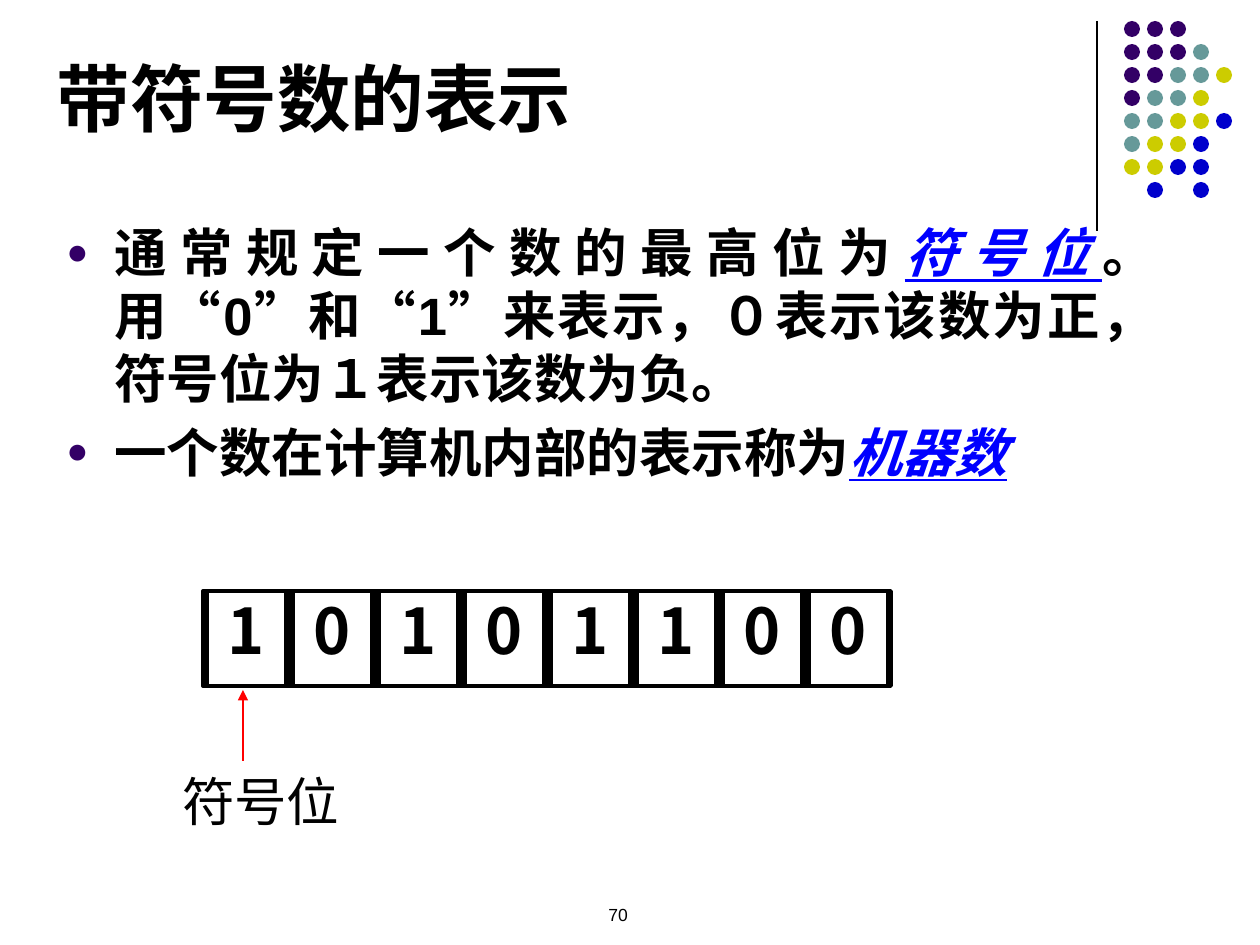
from dataclasses import dataclass

from lxml.etree import SubElement
from pptx import Presentation
from pptx.dml.color import RGBColor
from pptx.enum.shapes import MSO_CONNECTOR, MSO_SHAPE
from pptx.enum.text import MSO_ANCHOR, PP_ALIGN
from pptx.oxml.ns import qn
from pptx.util import Emu, Pt


@dataclass(frozen=True)
class Theme:
    ink: str = "000000"
    key: str = "0000FF"
    arrow: str = "FF0000"
    purple: str = "330066"
    teal: str = "669999"
    lime: str = "CCCC00"
    blue: str = "0000CC"
    latin: str = "Arial"
    cjk: str = "Noto Sans CJK SC"
    title: int = 42
    body: int = 30
    digit: int = 36
    small: int = 10


THEME = Theme()
DOTS = ["PPP", "PPPT", "PPTTL", "PTTL", "TTLLB", "TLLB", "LLBB", " B B"]
HUES = {"P": THEME.purple, "T": THEME.teal, "L": THEME.lime, "B": THEME.blue}
BITS = "10101100"
POINTS = [
    [("通常规定一个数的最高位为", False), ("符号位", True),
     ("。用“0”和“1”来表示，０表示该数为正，符号位为１表示该数为负。", False)],
    [("一个数在计算机内部的表示称为", False), ("机器数", True)],
]


def px(n):
    return Emu(round(n * 914400 / 126))


def box(*sides):
    return [px(n) for n in sides]


def apply(item, values):
    for name, value in values.items():
        setattr(item, name, value)


def add_run(para, text, size, face, color=THEME.ink, **style):
    run = para.add_run()
    run.text = text
    apply(run.font, {"size": Pt(size), "name": face, **style})
    run.font.color.rgb = RGBColor.from_string(color)
    run._r.get_or_add_rPr().set("lang", "zh-CN")
    if face == THEME.cjk:
        SubElement(run._r.rPr, qn("a:ea"), typeface=face)


def add_box(slide, *sides):
    frame = slide.shapes.add_textbox(*box(*sides)).text_frame
    frame.word_wrap = True
    return frame


def add_title(slide, text):
    title = slide.shapes.title
    apply(title, dict(zip(("left", "top", "width", "height"), box(44, 26, 1040, 122))))
    title.text_frame.vertical_anchor = MSO_ANCHOR.BOTTOM
    para = title.text_frame.paragraphs[0]
    para.alignment = PP_ALIGN.LEFT
    add_run(para, text, THEME.title, THEME.latin, bold=True)


def add_bullet(para):
    props = para._p.get_or_add_pPr()
    props.set("marL", str(px(48)))
    props.set("indent", str(px(-48)))
    color = SubElement(props, qn("a:buClr"))
    SubElement(color, qn("a:srgbClr"), val=THEME.purple)
    SubElement(props, qn("a:buSzPct"), val="70000")
    SubElement(props, qn("a:buFont"), typeface=THEME.latin)
    SubElement(props, qn("a:buChar"), char="●")


def add_points(slide):
    frame = add_box(slide, 54, 214, 1113, 607)
    for i, runs in enumerate(POINTS):
        para = frame.add_paragraph() if i else frame.paragraphs[0]
        add_bullet(para)
        apply(para, {"alignment": PP_ALIGN.JUSTIFY, "space_before": Pt(6 if i else 0)})
        for text, key in runs:
            add_run(para, text, THEME.body, THEME.latin, THEME.key if key else THEME.ink,
                    bold=True, italic=key, underline=key)


def add_line(slide, ends, color, width, head=False):
    line = slide.shapes.add_connector(MSO_CONNECTOR.STRAIGHT, *box(*ends))
    line.line.color.rgb = RGBColor.from_string(color)
    line.line.width = Pt(width)
    if head:
        SubElement(line.line._get_or_add_ln(), qn("a:headEnd"), type="triangle")
    SubElement(line._element.spPr, qn("a:effectLst"))


def add_dots(slide):
    for row, marks in enumerate(DOTS):
        for col, mark in enumerate(marks):
            if mark in HUES:
                dot = slide.shapes.add_shape(
                    MSO_SHAPE.OVAL, *box(1124 + 23 * col, 21 + 23 * row, 16, 16))
                dot.shadow.inherit = False
                dot.fill.solid()
                dot.fill.fore_color.rgb = RGBColor.from_string(HUES[mark])
                dot.line.fill.background()


def add_frame(slide, left, width):
    rect = slide.shapes.add_shape(MSO_SHAPE.RECTANGLE, *box(left, 591, width, 95))
    rect.shadow.inherit = False
    rect.fill.background()
    rect.line.color.rgb = RGBColor.from_string(THEME.ink)
    rect.line.width = Pt(2.25)
    return rect


def add_bits(slide):
    for i, bit in enumerate(BITS):
        left = 203 + 86 * i
        frame = add_frame(slide, left + 4, 79).text_frame
        apply(frame, {"margin_left": px(3), "margin_right": px(3), "margin_top": 0,
                      "margin_bottom": 0, "vertical_anchor": MSO_ANCHOR.TOP})
        para = frame.paragraphs[0]
        para.alignment = PP_ALIGN.CENTER
        add_run(para, bit, THEME.digit, THEME.cjk, bold=True)
        add_frame(slide, left, 86)


def add_label(slide, text):
    frame = add_box(slide, 164, 760, 208, 80)
    apply(frame, {"margin_left": px(18), "margin_right": px(18),
                  "margin_top": px(9), "margin_bottom": px(9)})
    add_run(frame.paragraphs[0], text, THEME.body, THEME.cjk)


def add_number(slide, text):
    para = add_box(slide, 471, 898, 294, 46).paragraphs[0]
    para.alignment = PP_ALIGN.CENTER
    add_run(para, text, THEME.small, THEME.latin)


def main():
    deck = Presentation()
    apply(deck, {"slide_width": px(1260), "slide_height": px(945)})
    slide = deck.slides.add_slide(deck.slide_layouts[5])
    add_line(slide, (1097, 21, 1097, 231), THEME.ink, 0.75)
    add_dots(slide)
    add_number(slide, "70")
    add_title(slide, "带符号数的表示")
    add_points(slide)
    add_line(slide, (243, 690, 243, 761), THEME.arrow, 1, head=True)
    add_label(slide, "符号位")
    add_bits(slide)
    deck.save("out.pptx")


if __name__ == "__main__":
    main()
